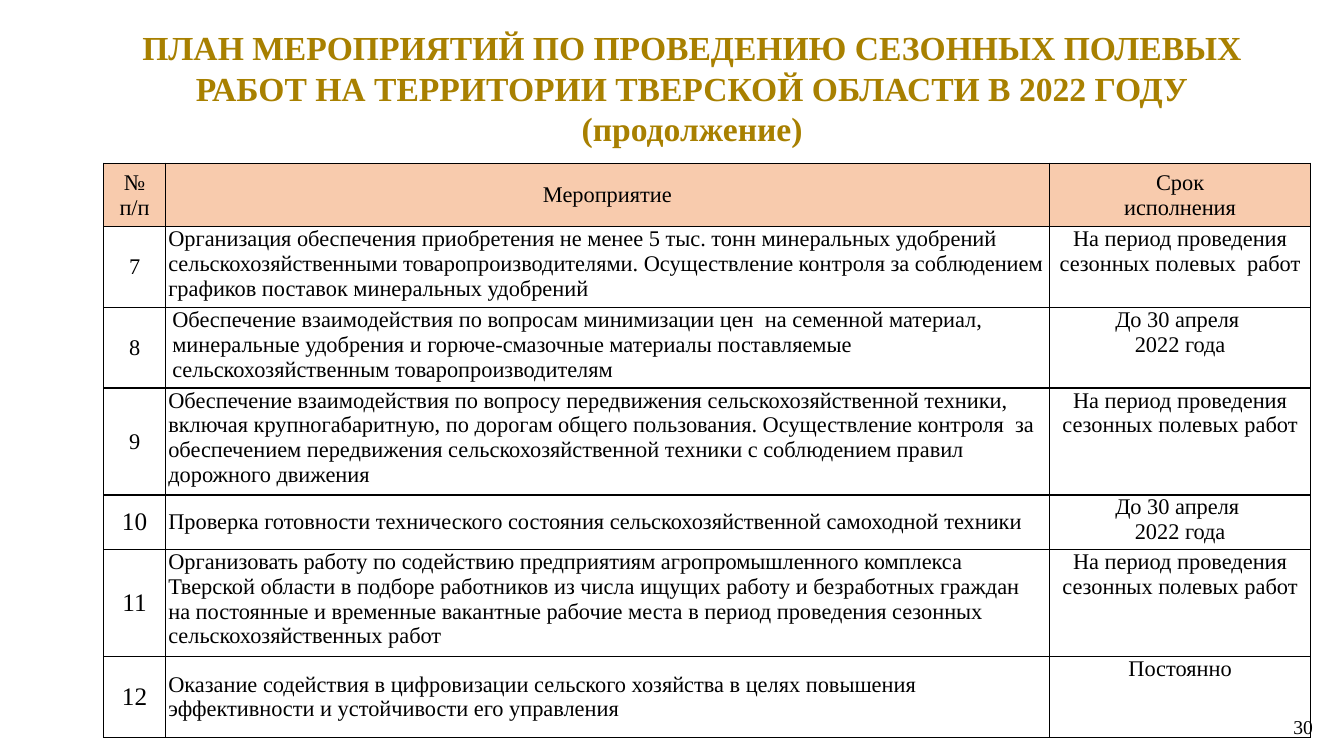
from typing import NamedTuple

from lxml import etree
from pptx import Presentation
from pptx.dml.color import RGBColor
from pptx.enum.text import MSO_ANCHOR, MSO_AUTO_SIZE, PP_ALIGN
from pptx.oxml.ns import qn
from pptx.util import Inches, Pt

LEFT, CENTER, RIGHT = PP_ALIGN.LEFT, PP_ALIGN.CENTER, PP_ALIGN.RIGHT
TOP, MIDDLE = MSO_ANCHOR.TOP, MSO_ANCHOR.MIDDLE
NO_AUTOFIT = MSO_AUTO_SIZE.NONE

FONT = "Times New Roman"
COLORS = {"title": "A88000", "text": "000000", "border": "000000", "header": "F8CBAD"}
COLUMN_WIDTHS = (0.61, 8.77, 2.59)
HEADER_HEIGHT = 0.63
HEADERS = ("№\nп/п", "Мероприятие", "Срок\nисполнения")
SEASON = "На период проведения сезонных полевых работ"
APRIL = "До 30 апреля \n2022 года"


class Activity(NamedTuple):
    number: int
    text: str
    term: str
    height: float
    anchor: MSO_ANCHOR = TOP
    margin: float = 0.03


ACTIVITIES = (
    Activity(7, "Организация обеспечения приобретения не менее 5 тыс. тонн минеральных удобрений "
             "сельскохозяйственными товаропроизводителями. Осуществление контроля за соблюдением "
             "графиков поставок минеральных удобрений",
             "На период проведения сезонных полевых  работ", 0.8),
    Activity(8, "Обеспечение взаимодействия по вопросам минимизации цен  на семенной материал, "
             "минеральные удобрения и горюче-смазочные материалы поставляемые "
             "сельскохозяйственным товаропроизводителям", APRIL, 0.8, margin=0.07),
    Activity(9, "Обеспечение взаимодействия по вопросу передвижения сельскохозяйственной техники, "
             "включая крупногабаритную, по дорогам общего пользования. Осуществление контроля  за "
             "обеспечением передвижения сельскохозяйственной техники с соблюдением правил "
             "дорожного движения", SEASON, 1.06),
    Activity(10, "Проверка готовности технического состояния сельскохозяйственной самоходной техники",
             APRIL, 0.54, MIDDLE),
    Activity(11, "Организовать работу по содействию предприятиям агропромышленного комплекса "
             "Тверской области в подборе работников из числа ищущих работу и безработных граждан "
             "на постоянные и временные вакантные рабочие места в период проведения сезонных "
             "сельскохозяйственных работ", SEASON, 1.06),
    Activity(12, "Оказание содействия в цифровизации сельского хозяйства в целях повышения "
             "эффективности и устойчивости его управления", "Постоянно", 0.81, MIDDLE),
)


def write_text(frame, text: str, *, size: float = 16, color: str = "text",
               bold: bool = False, align: PP_ALIGN = LEFT) -> None:
    """Write one formatted paragraph for each line of text."""
    frame.word_wrap = True
    for index, line in enumerate(text.split("\n")):
        paragraph = frame.paragraphs[0] if index == 0 else frame.add_paragraph()
        paragraph.alignment = align
        paragraph.line_spacing = 1.0
        paragraph.space_before = Pt(0)
        run = paragraph.add_run()
        run.text = line
        run.font.name = FONT
        run.font.size = Pt(size)
        run.font.bold = bold
        run.font.color.rgb = RGBColor.from_string(COLORS[color])


def add_borders(cell) -> None:
    properties = cell._tc.get_or_add_tcPr()
    for index, side in enumerate(("lnL", "lnR", "lnT", "lnB")):
        line = etree.Element(qn(f"a:{side}"), w=str(Pt(1)))
        fill = etree.SubElement(line, qn("a:solidFill"))
        etree.SubElement(fill, qn("a:srgbClr"), val=COLORS["border"])
        properties.insert(index, line)


def format_cell(cell, text: str, *, anchor: MSO_ANCHOR = MIDDLE, align: PP_ALIGN = CENTER,
                size: float = 16, margin: float | None = None, header: bool = False) -> None:
    cell.vertical_anchor = anchor
    if margin is not None:
        cell.margin_left = cell.margin_right = Inches(margin)
        cell.margin_top = cell.margin_bottom = 0
    if header:
        cell.fill.solid()
        cell.fill.fore_color.rgb = RGBColor.from_string(COLORS["header"])
    else:
        cell.fill.background()
    add_borders(cell)
    write_text(cell.text_frame, text, size=size, align=align)


def add_plan_table(slide) -> None:
    heights = (HEADER_HEIGHT, *(activity.height for activity in ACTIVITIES))
    table = slide.shapes.add_table(
        len(heights), len(COLUMN_WIDTHS), Inches(1.03), Inches(1.62),
        Inches(sum(COLUMN_WIDTHS)), Inches(sum(heights))).table
    table.horz_banding = False
    table.first_row = False
    for column, width in zip(table.columns, COLUMN_WIDTHS):
        column.width = Inches(width)
    for row, height in zip(table.rows, heights):
        row.height = Inches(height)

    for column_index, heading in enumerate(HEADERS):
        format_cell(table.cell(0, column_index), heading, header=True)
    for row_index, activity in enumerate(ACTIVITIES, start=1):
        number_cell, text_cell, term_cell = table.rows[row_index].cells
        format_cell(number_cell, str(activity.number), size=18 if activity.number >= 10 else 16)
        format_cell(text_cell, activity.text, anchor=activity.anchor, align=LEFT,
                    margin=activity.margin)
        format_cell(term_cell, activity.term, anchor=TOP, margin=activity.margin)


def main() -> None:
    presentation = Presentation()
    presentation.slide_width, presentation.slide_height = Inches(13.33), Inches(7.5)
    slide = presentation.slides.add_slide(presentation.slide_layouts[5])

    # Title
    title = slide.shapes.title
    title.left, title.top = Inches(1.03), Inches(0.22)
    title.width, title.height = Inches(11.67), Inches(1.68)
    title.text_frame.auto_size = NO_AUTOFIT
    title.text_frame.vertical_anchor = TOP
    write_text(title.text_frame, "ПЛАН МЕРОПРИЯТИЙ ПО ПРОВЕДЕНИЮ СЕЗОННЫХ ПОЛЕВЫХ РАБОТ "
               "НА ТЕРРИТОРИИ ТВЕРСКОЙ ОБЛАСТИ В 2022 ГОДУ (продолжение)",
               size=24, color="title", bold=True, align=CENTER)

    # Activity plan
    add_plan_table(slide)

    # Page number
    page_number = slide.shapes.add_textbox(Inches(12.49), Inches(7.04), Inches(0.63), Inches(0.34))
    write_text(page_number.text_frame, "30", size=14, align=RIGHT)

    presentation.save("out.pptx")


if __name__ == "__main__":
    main()
